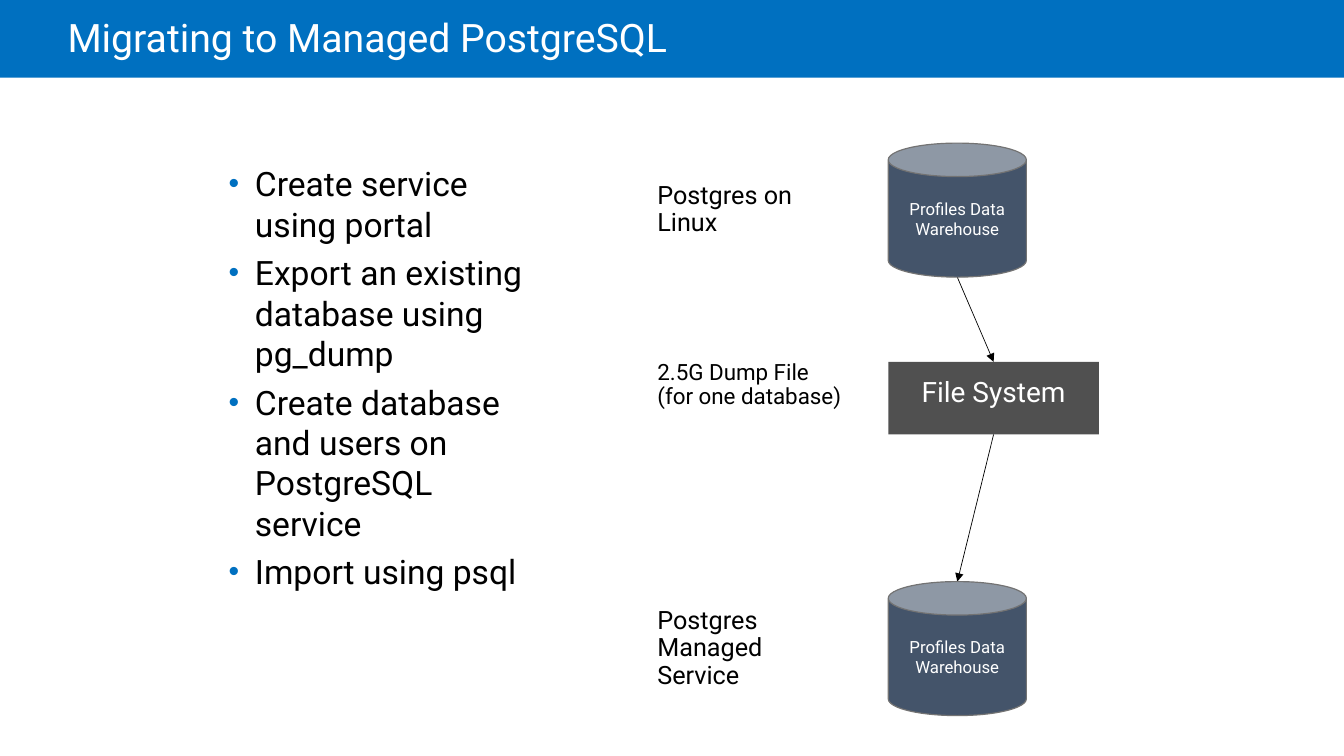
from lxml import etree
from pptx import Presentation
from pptx.dml.color import RGBColor
from pptx.enum import shapes, text
from pptx.oxml.ns import qn
from pptx.util import Inches, Pt

COLORS = {
    "banner": "0070C0",
    "white": "FFFFFF",
    "black": "000000",
    "database": "44546A",
    "outline": "737373",
    "file_system": "505050",
}
FONT = "Roboto"
TITLE = "Migrating to Managed PostgreSQL"
STEPS = [
    "Create service using portal",
    "Export an existing database using pg_dump",
    "Create database and users on PostgreSQL service",
    "Import using psql",
]
LABELS = [
    ("Postgres on Linux", 1.78, 0.6, 18),
    ("2.5G Dump File (for one database)", 3.42, 0.81, 16),
    ("Postgres Managed Service", 6, 0.87, 18),
]
DATABASE = "Profiles Data Warehouse"
DATABASE_TOPS = [1.42, 5.77]
DATABASE_SIZE = (1.37, 1.33)
FILE_SYSTEM = ("File System", 3.59, 2.09, 0.72)
LABEL_LEFT, LABEL_WIDTH = 6.32, 2.31
NODE_LEFT = 8.81
WIDE_INSETS = (0.2, 0.16, 0.2, 0.16)


def color(name):
    return RGBColor.from_string(COLORS[name])


def add_bullet(paragraph):
    properties = paragraph._p.get_or_add_pPr()
    properties.set("marL", str(Inches(0.26)))
    properties.set("indent", str(Inches(-0.26)))
    bullet_color = etree.SubElement(properties, qn("a:buClr"))
    etree.SubElement(bullet_color, qn("a:srgbClr"), val=COLORS["banner"])
    etree.SubElement(properties, qn("a:buSzPct"), val="90000")
    etree.SubElement(properties, qn("a:buFont"), typeface="Arial")
    etree.SubElement(properties, qn("a:buChar"), char="•")


def write(shape, lines, size=18, fill="black", align="LEFT", anchor="TOP",
          insets=(0.1, 0.05, 0.1, 0.05), spacing=None, before=0, after=0, bullets=False):
    frame = shape.text_frame
    frame.word_wrap = True
    frame.vertical_anchor = getattr(text.MSO_ANCHOR, anchor)
    (frame.margin_left, frame.margin_top,
     frame.margin_right, frame.margin_bottom) = map(Inches, insets)
    for index, line in enumerate(lines):
        paragraph = frame.add_paragraph() if index else frame.paragraphs[0]
        if bullets:
            add_bullet(paragraph)
        paragraph.alignment = getattr(text.PP_ALIGN, align)
        paragraph.line_spacing = spacing
        paragraph.space_before = Pt(before if index else 0)
        paragraph.space_after = Pt(after)
        run = paragraph.add_run()
        run.text = line
        run.font.name = FONT
        run.font.size = Pt(size)
        run.font.color.rgb = color(fill)


def add_node(slide, kind, box, fill, outline=None):
    shape = slide.shapes.add_shape(kind, *map(Inches, box))
    shape.shadow.inherit = False
    shape.fill.solid()
    shape.fill.fore_color.rgb = color(fill)
    if outline:
        shape.line.color.rgb = color(outline)
        shape.line.width = Pt(0.85)
    else:
        shape.line.fill.background()
    return shape


def add_arrow(slide, start, end):
    arrow = slide.shapes.add_connector(
        shapes.MSO_CONNECTOR.STRAIGHT, *map(Inches, (*start, *end)))
    arrow.line.color.rgb = color("black")
    arrow.line.width = Pt(0.5)
    etree.SubElement(arrow.line._get_or_add_ln(), qn("a:tailEnd"), type="triangle")
    etree.SubElement(arrow._element.spPr, qn("a:effectLst"))


def add_text(slide, box, lines, **style):
    write(slide.shapes.add_textbox(*map(Inches, box)), lines, **style)


def main():
    presentation = Presentation()
    presentation.slide_width = Inches(13.33)
    presentation.slide_height = Inches(7.5)
    slide = presentation.slides.add_slide(presentation.slide_layouts[6])
    rectangle = shapes.MSO_SHAPE.RECTANGLE

    add_node(slide, rectangle, (0, 0, 13.33, 0.77), "banner")
    add_text(slide, (0.67, 0, 11.34, 0.81), [TITLE], size=28, fill="white",
             anchor="MIDDLE", insets=(0, 0.05, 0.1, 0.05), spacing=0.85)
    add_text(slide, (2.17, 1.57, 3.29, 5.13), STEPS, size=24, before=6, bullets=True)

    name, file_top, file_width, file_height = FILE_SYSTEM
    database_width, database_height = DATABASE_SIZE
    database_center = NODE_LEFT + database_width / 2
    file_center = NODE_LEFT + file_width / 2
    source_top, target_top = DATABASE_TOPS
    add_arrow(slide, (database_center, source_top + database_height), (file_center, file_top))
    add_arrow(slide, (file_center, file_top + file_height), (database_center, target_top))

    for top in DATABASE_TOPS:
        database = add_node(slide, shapes.MSO_SHAPE.CAN,
                            (NODE_LEFT, top, *DATABASE_SIZE), "database", "outline")
        write(database, [DATABASE], size=12, fill="white", align="CENTER", anchor="MIDDLE")

    file_system = add_node(slide, rectangle,
                           (NODE_LEFT, file_top, file_width, file_height), "file_system")
    write(file_system, [name], size=20, fill="white", align="CENTER",
          insets=WIDE_INSETS, spacing=0.9)

    for label, top, height, size in LABELS:
        add_text(slide, (LABEL_LEFT, top, LABEL_WIDTH, height), [label], size=size,
                 anchor="MIDDLE", insets=WIDE_INSETS, spacing=0.9, after=6.1)

    presentation.save("out.pptx")


if __name__ == "__main__":
    main()
